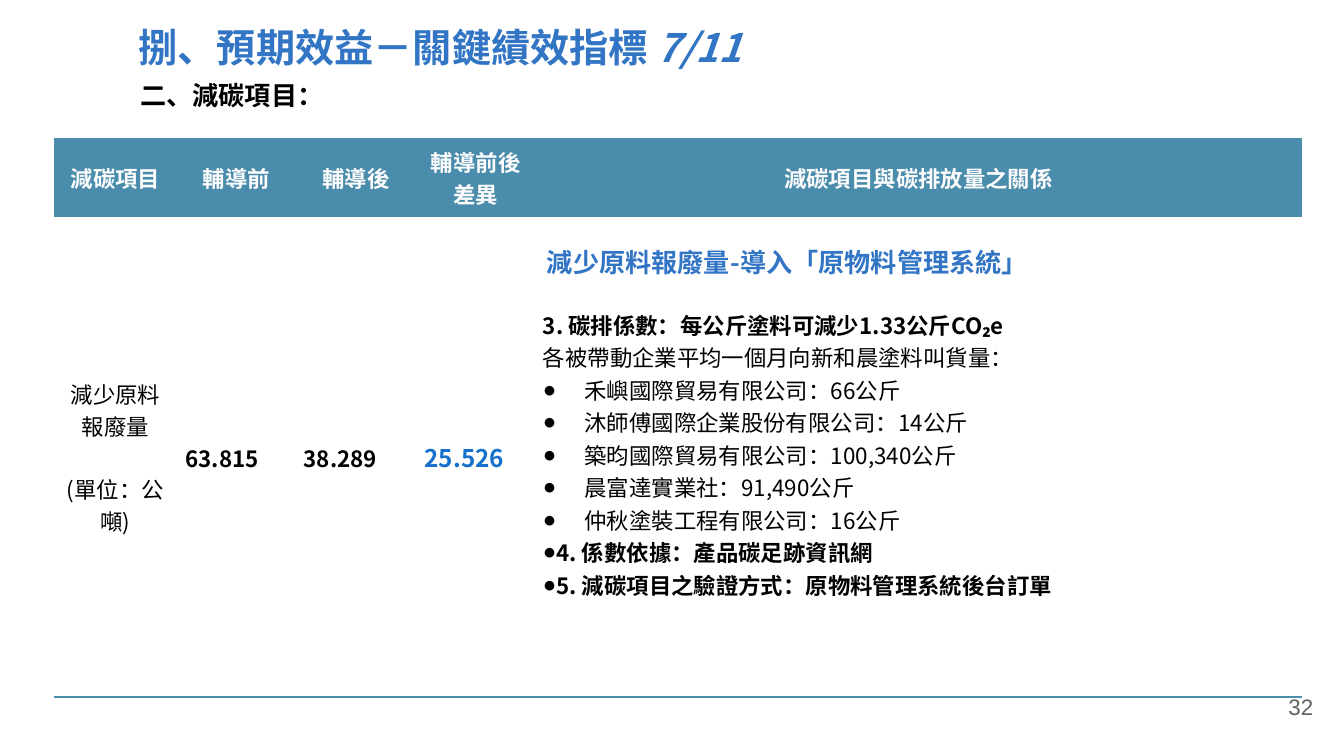
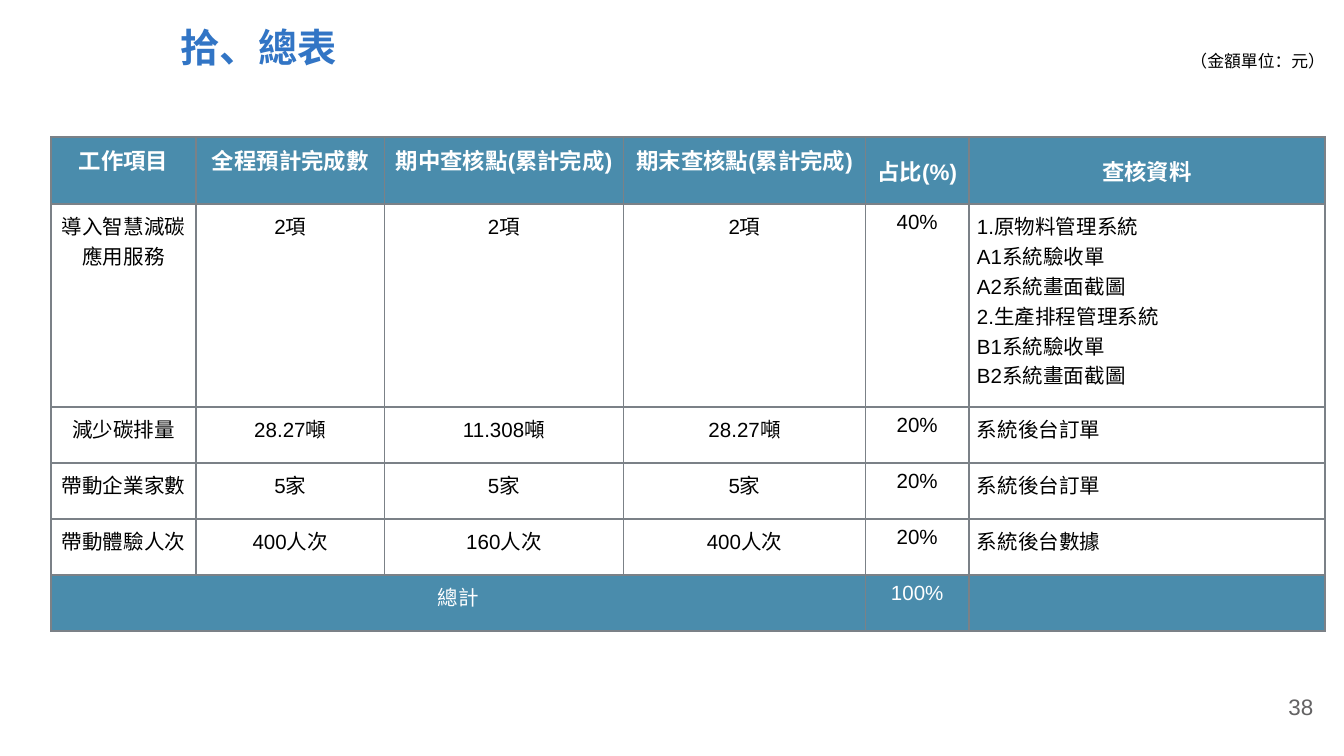
"""Build two slides: the carbon-reduction indicator and the summary table."""
from dataclasses import dataclass, replace
from typing import Any

from lxml import etree
from pptx import Presentation
from pptx.dml.color import RGBColor
from pptx.enum.text import MSO_ANCHOR, MSO_AUTO_SIZE, PP_ALIGN
from pptx.oxml.ns import qn
from pptx.util import Inches, Pt

LEFT, CENTER, RIGHT, JUSTIFY = PP_ALIGN.LEFT, PP_ALIGN.CENTER, PP_ALIGN.RIGHT, PP_ALIGN.JUSTIFY
TOP, MIDDLE = MSO_ANCHOR.TOP, MSO_ANCHOR.MIDDLE
NO_AUTOSIZE = MSO_AUTO_SIZE.NONE

WIDTH = Inches(10)
HEIGHT = WIDTH * 9 // 16
CJK, LATIN = "Noto Sans CJK SC", "Arial"
NO_STYLE = "{2D5ABB26-0587-4C30-8999-92F81FD0307C}"
COLORS = {
    "teal": "4A8CAC", "title": "3275C5", "accent": "1470CC", "ink": "000000",
    "paper": "FFFFFF", "header": "FCFCFC", "grid": "7B8187", "number": "636263",
}


@dataclass(frozen=True)
class Box:
    """A rectangle in percent of the slide's width and height."""
    left: float
    top: float
    width: float
    height: float


@dataclass(frozen=True)
class Style:
    """The look of a run."""
    size: float
    color: str = "ink"
    bold: bool = False
    font: str = CJK
    italic: bool = False


@dataclass(frozen=True)
class Para:
    """One paragraph, its indents in percent of the slide's width."""
    text: str
    style: Style
    align: PP_ALIGN = LEFT
    margin: float = 0
    hanging: float = 0
    bullet: bool = False
    before: float = 0
    spacing: float = 1
    tail: str = ""


@dataclass(frozen=True)
class Cell:
    """A table cell with its fill and anchor."""
    paras: tuple[Para, ...]
    fill: str = ""
    anchor: MSO_ANCHOR = TOP
    edges: str = ""
    edge_color: str = "teal"
    inset_top: float = 0.89


TITLE_BOX = Box(-0.1, -0.36, 63.9, 13)
NUMBER_BOX = Box(93.5, 90.75, 5.2, 7.47)
TITLE = Style(21, "title", True)
NUMBER = Style(12, "number", font=LATIN)
BODY = Style(12)
STRONG = replace(BODY, bold=True)
HEAD = replace(STRONG, color="header")
SUM_HEAD = Style(12, "paper", True, LATIN)
SUM_BODY = Style(11, font=LATIN)
SUM_TOTAL = replace(SUM_BODY, color="paper")


def across(share: float) -> int:
    """Return a percentage of the slide's width."""
    return int(WIDTH * share / 100)


def down(share: float) -> int:
    """Return a percentage of the slide's height."""
    return int(HEIGHT * share / 100)


def assign(target: Any, values: dict[str, Any]) -> None:
    """Set each named attribute of the target."""
    for name, value in values.items():
        setattr(target, name, value)


def place(box: Box) -> dict[str, int]:
    """Turn a box into shape lengths."""
    return {"left": across(box.left), "top": down(box.top),
            "width": across(box.width), "height": down(box.height)}


def add_run(p: Any, text: str, style: Style) -> None:
    """Add a styled run to a paragraph."""
    r = p.add_run()
    r.text = text
    assign(r.font, {"size": Pt(style.size), "bold": style.bold,
                    "italic": style.italic, "name": style.font})
    r.font.color.rgb = RGBColor.from_string(COLORS[style.color])
    r.font._element.find(qn("a:latin")).addnext(
        etree.Element(qn("a:ea"), typeface=CJK))


def add_bullet(pPr: Any) -> None:
    """Give a paragraph a black round bullet."""
    color = etree.SubElement(pPr, qn("a:buClr"))
    etree.SubElement(color, qn("a:srgbClr"), val=COLORS["ink"])
    etree.SubElement(pPr, qn("a:buFont"), typeface=LATIN)
    etree.SubElement(pPr, qn("a:buChar"), char="●")


def write(tf: Any, paras: tuple[Para, ...]) -> None:
    """Fill a text frame with paragraphs."""
    for i, para in enumerate(paras):
        p = tf.paragraphs[0] if i == 0 else tf.add_paragraph()
        pPr = p._p.get_or_add_pPr()
        pPr.set("marL", str(across(para.margin)))
        pPr.set("indent", str(-across(para.hanging)))
        if para.bullet:
            add_bullet(pPr)
        assign(p, {"alignment": para.align, "line_spacing": para.spacing,
                   "space_before": Pt(para.before)})
        if para.text:
            add_run(p, para.text, para.style)
        else:
            p._p.get_or_add_endParaRPr().set("sz", str(para.style.size * 100))
        if para.tail:
            add_run(p, para.tail, replace(para.style, italic=True))


def add_text(slide: Any, box: Box, para: Para) -> None:
    """Add a text box of one paragraph."""
    sp = slide.shapes.add_textbox(**place(box))
    sp.text_frame.word_wrap = True
    write(sp.text_frame, (para,))


def add_slide(prs: Any, title: Para, number: str) -> Any:
    """Add a slide with its title and page number."""
    slide = prs.slides.add_slide(prs.slide_layouts[5])
    sp = slide.shapes.title
    assign(sp, place(TITLE_BOX))
    assign(sp.text_frame, {"vertical_anchor": MIDDLE, "word_wrap": True,
                           "auto_size": NO_AUTOSIZE})
    write(sp.text_frame, (title,))
    add_text(slide, NUMBER_BOX, Para(number, NUMBER, RIGHT))
    return slide


def draw_edges(cell: Any, edges: str, color: str) -> None:
    """Draw one-point borders on the named sides of a cell."""
    tcPr = cell._tc.get_or_add_tcPr()
    for i, side in enumerate(edges):
        ln = etree.Element(qn(f"a:ln{side}"), w=str(Pt(1)))
        fill = etree.SubElement(ln, qn("a:solidFill"))
        etree.SubElement(fill, qn("a:srgbClr"), val=COLORS[color])
        tcPr.insert(i, ln)


def add_table(slide: Any, left: float, top: float, cols: list[float],
              rows: list[float], cells: list[list[Cell]]) -> Any:
    """Add a table from column and row shares and a grid of cells."""
    box = Box(left, top, sum(cols), sum(rows))
    table = slide.shapes.add_table(len(rows), len(cols), **place(box)).table
    assign(table, {"first_row": False, "horz_banding": False})
    table._tbl.tblPr.find(qn("a:tableStyleId")).text = NO_STYLE
    for col, share in zip(table.columns, cols):
        col.width = across(share)
    for row, share in zip(table.rows, rows):
        row.height = down(share)
    for row, specs in zip(table.rows, cells):
        for cell, spec in zip(row.cells, specs):
            assign(cell, {"margin_left": across(0.6), "margin_right": across(0.6),
                          "margin_top": down(spec.inset_top), "margin_bottom": down(0.89),
                          "vertical_anchor": spec.anchor})
            write(cell.text_frame, spec.paras)
            if spec.fill:
                cell.fill.solid()
                cell.fill.fore_color.rgb = RGBColor.from_string(COLORS[spec.fill])
            else:
                cell.fill.background()
            draw_edges(cell, spec.edges, spec.edge_color)
    return table


def build_indicator(prs: Any) -> None:
    """Build the carbon-reduction indicator slide."""
    slide = add_slide(prs, Para("捌、預期效益－關鍵績效指標 ", TITLE, margin=9.4, tail="7/11"), "32")
    add_text(slide, Box(9.45, 9.6, 28.7, 6.6), Para("二、減碳項目：", Style(14, bold=True)))
    heads = ["減碳項目", "輔導前", "輔導後", "輔導前後差異", "減碳項目與碳排放量之關係"]
    orders = ["禾嶼國際貿易有限公司：66公斤", "沐師傅國際企業股份有限公司：14公斤",
              "築昀國際貿易有限公司：100,340公斤", "晨富達實業社：91,490公斤",
              "仲秋塗裝工程有限公司：16公斤"]
    notes = ["4. 係數依據：產品碳足跡資訊網", "5. 減碳項目之驗證方式：原物料管理系統後台訂單"]
    relation = (
        Para("減少原料報廢量-導入「原物料管理系統」", Style(14, "title", True), JUSTIFY,
             margin=0.3, spacing=0.83),
        Para("3. 碳排係數：每公斤塗料可減少1.33公斤CO₂e", STRONG, JUSTIFY, before=15.5),
        Para("各被帶動企業平均一個月向新和晨塗料叫貨量：", BODY, JUSTIFY),
        *(Para(t, BODY, JUSTIFY, 3.1, 3.1, True) for t in orders),
        *(Para(t, STRONG, JUSTIFY, bullet=True) for t in notes),
    )
    item = (Para("減少原料報廢量", BODY, CENTER),
            Para("(單位：公噸)", BODY, CENTER, before=16))
    figures = [("63.815", STRONG), ("38.289", STRONG), ("25.526", Style(13, "accent", True))]
    body = [item, *((Para(t, style),) for t, style in figures)]
    add_table(slide, 4, 18.31, [9.2, 8.8, 9, 8.8, 57.1], [10.45, 63.47], [
        [Cell((Para(t, HEAD, CENTER),), "teal", MIDDLE) for t in heads],
        [*(Cell(paras, anchor=MIDDLE, edges="B") for paras in body),
         Cell(relation, edges="B", inset_top=4)],
    ])


def build_summary(prs: Any) -> None:
    """Build the summary table slide."""
    slide = add_slide(prs, Para("拾、總表", TITLE, margin=12.5), "38")
    add_text(slide, Box(87.6, 6.23, 12.3, 5.16), Para("（金額單位：元）", Style(9), spacing=0.83))
    heads = ["工作項目", "全程預計完成數", "期中查核點(累計完成)", "期末查核點(累計完成)",
             "占比(%)", "查核資料"]
    evidence = ["1.原物料管理系統", "A1系統驗收單", "A2系統畫面截圖",
                "2.生產排程管理系統", "B1系統驗收單", "B2系統畫面截圖"]
    tasks = [
        (["導入智慧減碳應用服務", "2項", "2項", "2項", "40%"], evidence),
        (["減少碳排量", "28.27噸", "11.308噸", "28.27噸", "20%"], ["系統後台訂單"]),
        (["帶動企業家數", "5家", "5家", "5家", "20%"], ["系統後台訂單"]),
        (["帶動體驗人次", "400人次", "160人次", "400人次", "20%"], ["系統後台數據"]),
    ]
    totals = ["總計", "", "", "", "100%", ""]

    def boxed(paras: tuple[Para, ...], fill: str = "", anchor: MSO_ANCHOR = TOP) -> Cell:
        """Return a cell with a grey border all round."""
        return Cell(paras, fill, anchor, "LRTB", "grid")

    cells = [[boxed((Para(t, SUM_HEAD, CENTER),), "teal", MIDDLE if i > 3 else TOP)
              for i, t in enumerate(heads)]]
    for values, proofs in tasks:
        cells.append([*(boxed((Para(t, SUM_BODY, CENTER),)) for t in values),
                      boxed(tuple(Para(t, SUM_BODY) for t in proofs))])
    cells.append([boxed((Para(t, SUM_TOTAL, CENTER),), "teal") for t in totals])
    table = add_table(slide, 3.8, 18.13, [10.8, 14, 17.8, 18, 7.7, 26.5],
                      [7.4, 26.84] + [7.4] * 4, cells)
    table.cell(5, 0).merge(table.cell(5, 3))


def main() -> None:
    """Build and save the presentation."""
    prs = Presentation()
    assign(prs, {"slide_width": WIDTH, "slide_height": HEIGHT})
    build_indicator(prs)
    build_summary(prs)
    prs.save("out.pptx")


if __name__ == "__main__":
    main()
